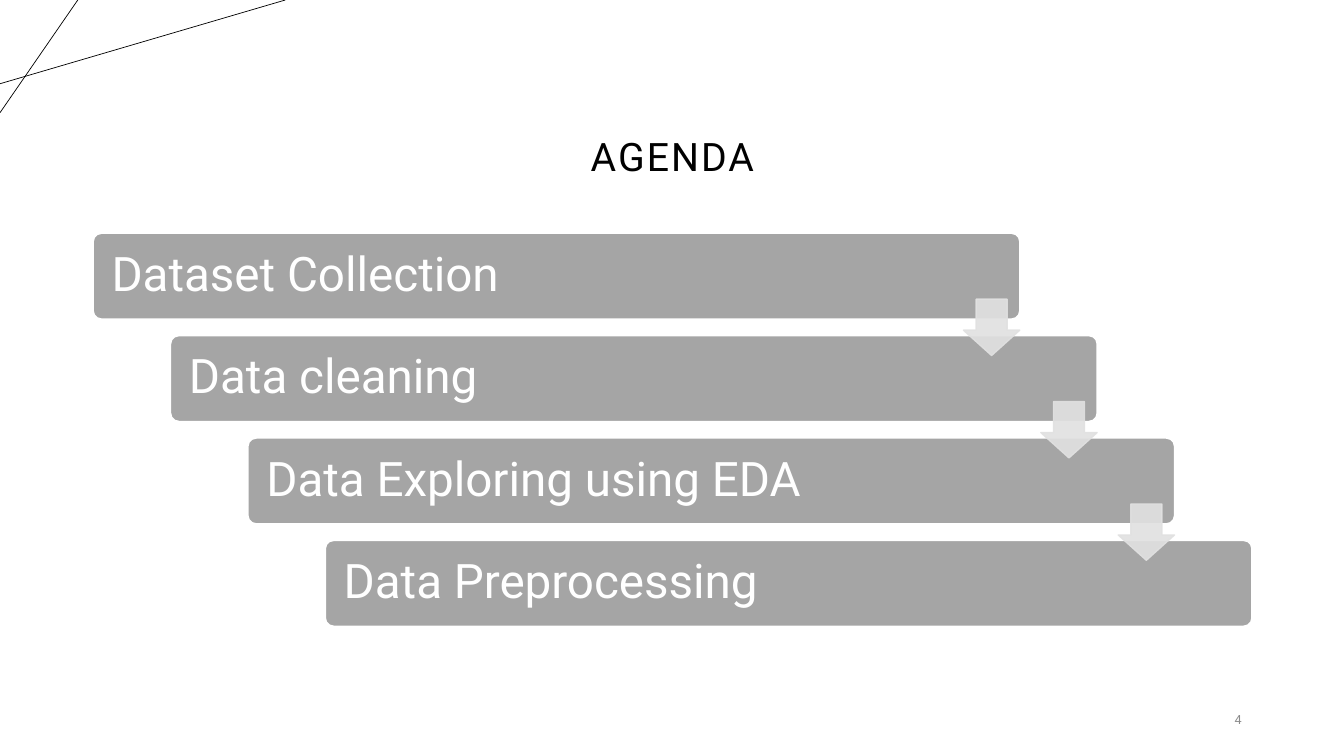
from lxml import etree
from pptx import Presentation
from pptx.dml.color import RGBColor
from pptx.enum.shapes import MSO_CONNECTOR, MSO_SHAPE
from pptx.enum.text import MSO_ANCHOR, PP_ALIGN
from pptx.oxml.ns import qn
from pptx.util import Cm, Pt

TITLE = "AGENDA"
STEPS = [
    "Dataset Collection",
    "Data cleaning",
    "Data Exploring using EDA",
    "Data Preprocessing",
]
NUMBER = "4"
CORNER = [(0, 2.11, 7.19, 0), (1.96, 0, 0, 2.84)]

# Lengths in cm: left, top, width, height
TITLE_BOX = (2.34, 0.99, 29.21, 3.68)
NUM_BOX = (28.8, 17.65, 2.74, 1.02)
BAR = (2.34, 5.87, 23.37, 2.18)
ARROW = (24.28, 7.54, 1.42, 1.42)
SHIFT_X, SHIFT_Y = 1.95, 2.58

FONT = "Roboto"
BLACK = RGBColor(0x00, 0x00, 0x00)
WHITE = RGBColor(0xFF, 0xFF, 0xFF)
GRAY = RGBColor(0xA5, 0xA5, 0xA5)
PALE = RGBColor(0xE1, 0xE1, 0xE1)
MUTED = RGBColor(0x8C, 0x8C, 0x8C)

ROUND, DOWN = MSO_SHAPE.ROUNDED_RECTANGLE, MSO_SHAPE.DOWN_ARROW
STRAIGHT = MSO_CONNECTOR.STRAIGHT
LEFT, CENTER, RIGHT = PP_ALIGN.LEFT, PP_ALIGN.CENTER, PP_ALIGN.RIGHT
MIDDLE, BOTTOM = MSO_ANCHOR.MIDDLE, MSO_ANCHOR.BOTTOM


def lengths(box):
    return [Cm(v) for v in box]


def write(shape, text, size, color, align, anchor):
    frame = shape.text_frame
    frame.text = text
    frame.word_wrap = True
    frame.vertical_anchor = anchor
    para = frame.paragraphs[0]
    para.alignment = align
    para.line_spacing = 0.9
    run = para.runs[0]
    run.font.name = FONT
    run.font.size = Pt(size)
    run.font.color.rgb = color
    return run


def add_step(slide, kind, box, index, fill, line, width, adjust):
    """Add a shape moved along the staircase by its index."""
    left, top, wide, high = box
    spot = (left + index * SHIFT_X, top + index * SHIFT_Y, wide, high)
    shape = slide.shapes.add_shape(kind, *lengths(spot))
    shape.shadow.inherit = False
    shape.fill.solid()
    shape.fill.fore_color.rgb = fill
    shape.line.color.rgb = line
    shape.line.width = Pt(width)
    for i, value in enumerate(adjust):
        shape.adjustments[i] = value
    return shape


def fade(shape, percent):
    """Set the opacity of fill and line."""
    for color in shape.element.spPr.iter(qn("a:srgbClr")):
        etree.SubElement(color, qn("a:alpha"), val=str(percent * 1000))


def main():
    deck = Presentation()
    deck.slide_width, deck.slide_height = Cm(33.87), Cm(19.05)
    slide = deck.slides.add_slide(deck.slide_layouts[5])

    for ends in CORNER:
        line = slide.shapes.add_connector(STRAIGHT, *lengths(ends))
        line.line.color.rgb = BLACK
        line.line.width = Pt(0.5)
        etree.SubElement(line.element.spPr, qn("a:effectLst"))

    title = slide.shapes.title
    title.left, title.top, title.width, title.height = lengths(TITLE_BOX)
    run = write(title, TITLE, 28, BLACK, CENTER, BOTTOM)
    run.font._element.set("spc", "150")

    number = slide.shapes.add_textbox(*lengths(NUM_BOX))
    write(number, NUMBER, 9, MUTED, RIGHT, MIDDLE)
    number.text_frame.paragraphs[0].space_after = Pt(6)

    for i, step in enumerate(STEPS):
        bar = add_step(slide, ROUND, BAR, i, GRAY, WHITE, 1.5, [0.1])
        write(bar, step, 34, WHITE, LEFT, MIDDLE)
        bar.text_frame.margin_left = Cm(0.41)

    for i in range(len(STEPS) - 1):
        arrow = add_step(slide, DOWN, ARROW, i, PALE, PALE, 1, [0.55, 0.45])
        fade(arrow, 90)

    deck.save("out.pptx")


if __name__ == "__main__":
    main()
